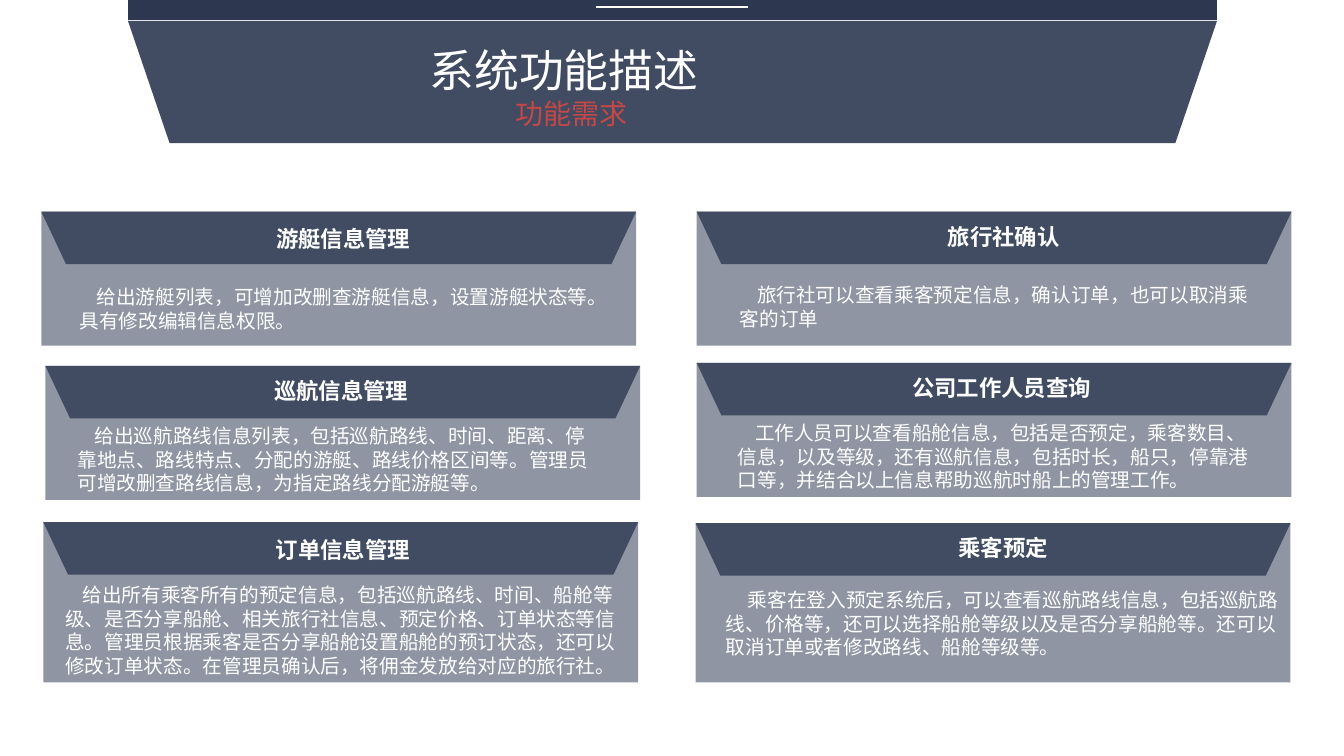
from dataclasses import dataclass

from lxml.etree import SubElement
from pptx import Presentation
from pptx.dml.color import RGBColor
from pptx.enum.shapes import MSO_CONNECTOR, MSO_SHAPE
from pptx.enum.text import MSO_ANCHOR, MSO_AUTO_SIZE, PP_ALIGN
from pptx.oxml.ns import qn
from pptx.util import Inches, Pt


@dataclass(frozen=True)
class Theme:
    font: str = "Noto Sans CJK SC"
    white: str = "FFFFFF"
    red: str = "C54747"
    navy: str = "202C46"
    slate: str = "414C62"
    banner: str = "313D55"
    title: int = 32
    subtitle: int = 20
    heading: int = 16
    body: int = 14
    leading: float = 1.2


theme = Theme()


def add_block(shape_type, left, top, width, height, color, opacity=100, slant=None):
    block = page.shapes.add_shape(
        shape_type, Inches(left), Inches(top), Inches(width), Inches(height)
    )
    block.shadow.inherit = False
    block.line.fill.background()
    block.fill.solid()
    block.fill.fore_color.rgb = RGBColor.from_string(color)
    if opacity < 100:
        tint = block.element.spPr.find(qn("a:solidFill"))[0]
        SubElement(tint, qn("a:alpha")).set("val", str(opacity * 1000))
    if slant is not None:
        block.adjustments[0] = slant
        block.element.spPr.find(qn("a:xfrm")).set("flipV", "1")


def write_span(para, text, size, color=theme.white, bold=False):
    para.line_spacing = Pt(size * theme.leading)
    span = para.add_run()
    span.text = text
    span.font.size = Pt(size)
    span.font.bold = bold
    span.font.name = theme.font
    span.font.color.rgb = RGBColor.from_string(color)
    SubElement(span.font._element, qn("a:ea")).set("typeface", theme.font)


deck = Presentation()
deck.slide_width, deck.slide_height = Inches(13.33), Inches(7.5)
page = deck.slides.add_slide(deck.slide_layouts[5])

add_block(MSO_SHAPE.TRAPEZOID, 1.27, 0.21, 10.8, 1.21, theme.banner, 92, 0.341)
add_block(MSO_SHAPE.RECTANGLE, 1.27, 0, 10.8, 0.2, theme.navy, 94)

rule = page.shapes.add_connector(
    MSO_CONNECTOR.STRAIGHT, Inches(5.91), Inches(0.07), Inches(7.42), Inches(0.07)
)
rule.line.color.rgb = RGBColor.from_string(theme.white)
rule.line.width = Pt(1)
SubElement(rule._element.spPr, qn("a:effectLst"))

title = page.shapes.title
title.left, title.top = Inches(4.16), Inches(0.37)
title.width, title.height = Inches(5.01), Inches(0.64)
title.element.getparent().append(title.element)
subtitle = page.shapes.add_textbox(Inches(5.01), Inches(0.91), Inches(3.32), Inches(0.44))
for box, text, size, color in (
    (title, "系统功能描述", theme.title, theme.white),
    (subtitle, "功能需求", theme.subtitle, theme.red),
):
    frame = box.text_frame
    frame.word_wrap = True
    frame.auto_size = MSO_AUTO_SIZE.NONE
    frame.vertical_anchor = MSO_ANCHOR.TOP
    para = frame.paragraphs[0]
    para.alignment = PP_ALIGN.LEFT
    write_span(para, text, size, color)

panels = [
    (0.41, 2.1, 1.33, (0.69, 2.18, 5.43, 1.18), 20, 0.17, "游艇信息管理",
     "给出游艇列表，可增加改删查游艇信息，设置游艇状态等。具有修改编辑信息权限。"),
    (0.45, 3.63, 1.33, (0.67, 3.69, 5.43, 1.28), 12, 0.17, "巡航信息管理",
     "给出巡航路线信息列表，包括巡航路线、时间、距离、停靠地点、路线特点、分配的游艇、"
     "路线价格区间等。管理员可增改删查路线信息，为指定路线分配游艇等。"),
    (0.43, 5.18, 1.59, (0.55, 5.27, 5.7, 1.51), 12, 0.17, "订单信息管理",
     "给出所有乘客所有的预定信息，包括巡航路线、时间、船舱等级、是否分享船舱、"
     "相关旅行社信息、预定价格、订单状态等信息。管理员根据乘客是否分享船舱设置船舱的"
     "预订状态，还可以修改订单状态。在管理员确认后，将佣金发放给对应的旅行社。"),
    (6.91, 2.1, 1.33, (7.24, 2.16, 5.43, 1.18), 20, 0.17, "旅行社确认",
     "旅行社可以查看乘客预定信息，确认订单，也可以取消乘客的订单"),
    (6.91, 3.6, 1.33, (7.22, 3.66, 5.43, 1.28), 12, 0.17, "公司工作人员查询",
     "工作人员可以查看船舱信息，包括是否预定，乘客数目、信息，以及等级，还有巡航信息，"
     "包括时长，船只，停靠港口等，并结合以上信息帮助巡航时船上的管理工作。"),
    (6.9, 5.19, 1.58, (7.1, 5.25, 5.7, 1.35), 16, 0.22, "乘客预定",
     "乘客在登入预定系统后，可以查看巡航路线信息，包括巡航路线、价格等，"
     "还可以选择船舱等级以及是否分享船舱等。还可以取消订单或者修改路线、船舱等级等。"),
]

for left, top, height, text_area, gap, indent, heading, body in panels:
    add_block(MSO_SHAPE.RECTANGLE, left, top, 5.9, height, theme.navy, 50)
    add_block(MSO_SHAPE.TRAPEZOID, left, top, 5.9, 0.52, theme.slate, slant=0.471)
    box = page.shapes.add_textbox(*[Inches(length) for length in text_area])
    frame = box.text_frame
    frame.word_wrap = True
    para = frame.paragraphs[0]
    para.alignment = PP_ALIGN.CENTER
    para.space_after = Pt(gap * theme.leading)
    write_span(para, heading, theme.heading, bold=True)
    para = frame.add_paragraph()
    para._p.get_or_add_pPr().set("indent", str(Inches(indent)))
    write_span(para, body, theme.body)

deck.save("out.pptx")
